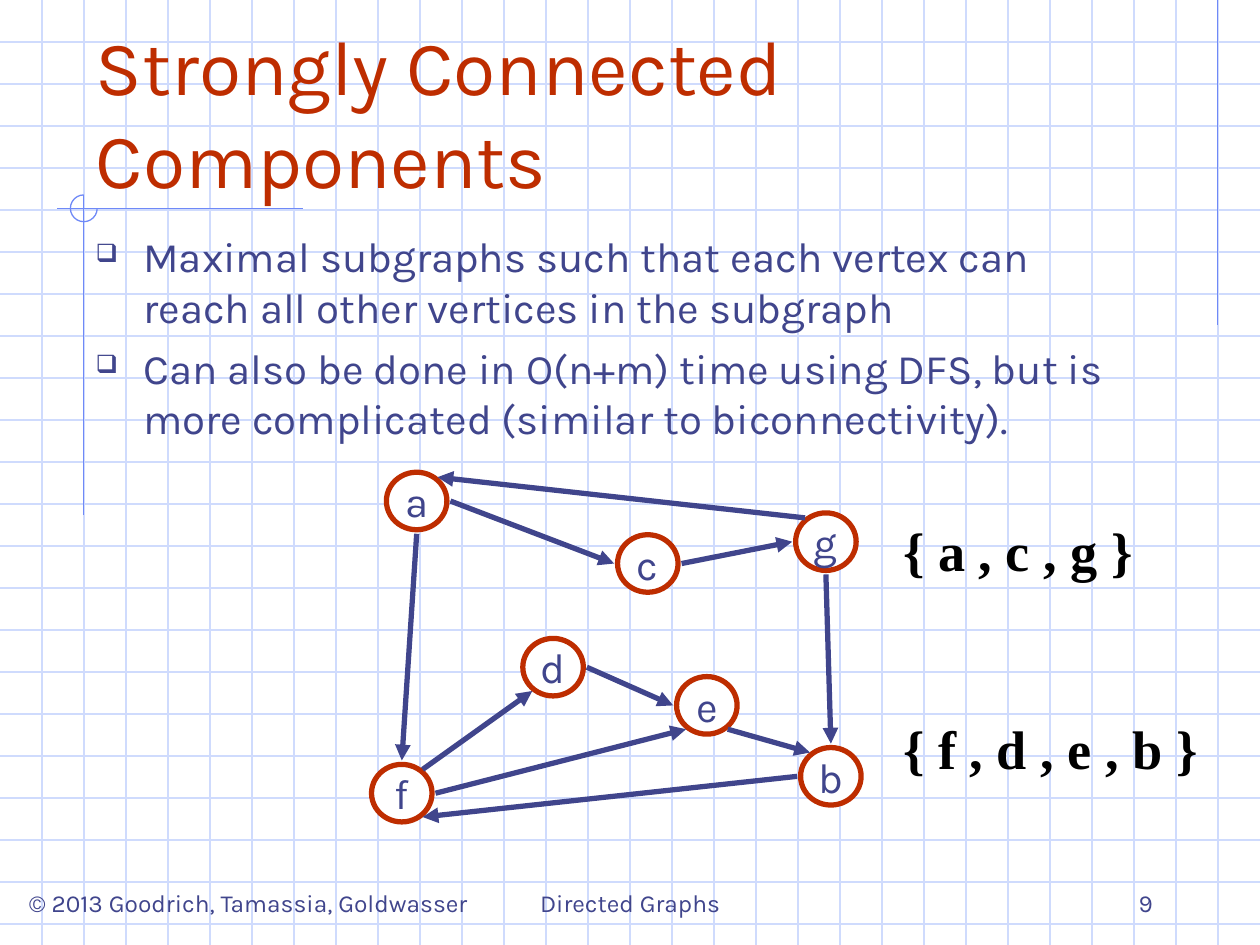
"""Build a slide on strongly connected components of a directed graph."""
import lxml.etree
import pptx
import pptx.dml.color
import pptx.enum.shapes
import pptx.enum.text
import pptx.oxml.ns
import pptx.util

Cm = pptx.util.Cm
Pt = pptx.util.Pt
RGB = pptx.dml.color.RGBColor
ALIGN = pptx.enum.text.PP_ALIGN
ANCHOR = pptx.enum.text.MSO_ANCHOR
SHAPE = pptx.enum.shapes.MSO_SHAPE
qn = pptx.oxml.ns.qn

NAVY = RGB(0x40, 0x45, 0x8C)
RUST = RGB(0xBE, 0x2D, 0x00)
PALE = RGB(0xCF, 0xDB, 0xFD)
BLUE = RGB(0x6F, 0x89, 0xF7)
WHITE = RGB(0xFF, 0xFF, 0xFF)
BLACK = RGB(0x00, 0x00, 0x00)
WIDE, HIGH = 25.4, 19.05


def draw(start, end, color, width=0.75):
    line = slide.shapes.add_connector(
        pptx.enum.shapes.MSO_CONNECTOR.STRAIGHT,
        Cm(start[0]), Cm(start[1]), Cm(end[0]), Cm(end[1]))
    line.line.color.rgb = color
    line.line.width = Pt(width)
    lxml.etree.SubElement(line.element.spPr, qn("a:effectLst"))
    return line


def write(frame, text, size, color, align=ALIGN.LEFT, anchor=ANCHOR.TOP,
          wrap=True, face="Karla", mark=None):
    frame.text = text
    frame.word_wrap = wrap
    frame.auto_size = pptx.enum.text.MSO_AUTO_SIZE.NONE
    frame.vertical_anchor = anchor
    for para in frame.paragraphs:
        para.alignment = align
        if mark:
            props = para._p.get_or_add_pPr()
            props.set("marL", str(Cm(0.96)))
            props.set("indent", str(-Cm(0.96)))
            tint = lxml.etree.SubElement(props, qn("a:buClr"))
            lxml.etree.SubElement(tint, qn("a:srgbClr"), val=str(color))
            lxml.etree.SubElement(props, qn("a:buSzPct"), val="60000")
            lxml.etree.SubElement(props, qn("a:buChar"), char=mark)
        para.font.size = Pt(size)
        para.font.name = face
        para.font.color.rgb = color


deck = pptx.Presentation()
deck.slide_width = Cm(WIDE)
deck.slide_height = Cm(HIGH)
slide = deck.slides.add_slide(deck.slide_layouts[5])

step = WIDE / 30
for row in range(1, 23):
    draw((0, row * step), (WIDE, row * step), PALE)
for col in range(1, 30):
    draw((col * step, 0), (col * step, HIGH), PALE)

draw((24.55, 0), (24.55, 6.55), BLUE)
draw((6.1, 4.21), (1.14, 4.21), BLUE)
draw((1.69, 3.93), (1.69, 10.39), BLUE)
arc = slide.shapes.add_shape(SHAPE.ARC, Cm(1.42), Cm(3.93), Cm(0.54), Cm(0.54))
arc.adjustments[0] = 0
arc.adjustments[1] = 162
arc.fill.background()
arc.line.color.rgb = BLUE
arc.line.width = Pt(0.75)
arc.shadow.inherit = False

title = slide.shapes.title
title.left, title.top, title.width, title.height = Cm(1.68), Cm(0.42), Cm(20.55), Cm(3.81)
write(title.text_frame, "Strongly Connected Components", 44, RUST, anchor=ANCHOR.BOTTOM)
slide.shapes.element.append(title.element)

notes = [
    ("© 2013 Goodrich, Tamassia, Goldwasser", 0.08, 17.78, 9.86, 0.86, ALIGN.CENTER, ANCHOR.TOP),
    ("Directed Graphs", 8.68, 17.35, 8.05, 1.27, ALIGN.CENTER, ANCHOR.BOTTOM),
    ("9", 18.21, 17.35, 5.28, 1.27, ALIGN.RIGHT, ANCHOR.BOTTOM),
]
for text, left, top, width, height, align, anchor in notes:
    box = slide.shapes.add_textbox(Cm(left), Cm(top), Cm(width), Cm(height))
    write(box.text_frame, text, 14, NAVY, align, anchor)

body = slide.shapes.add_textbox(Cm(1.68), Cm(4.53), Cm(21.62), Cm(6.68))
points = [
    "Maximal subgraphs such that each vertex can reach all other vertices in the subgraph",
    "Can also be done in O(n+m) time using DFS, but is more complicated "
    "(similar to biconnectivity).",
]
write(body.text_frame, "\n".join(points), 24, NAVY, mark="❑")
body.text_frame.paragraphs[1].space_before = Pt(6)

for text, top, width in [("{ a , c , g }", 10.42, 4.62), ("{ f , d , e , b }", 14.41, 5.92)]:
    box = slide.shapes.add_textbox(Cm(18.21), Cm(top), Cm(width), Cm(1.32))
    frame = box.text_frame
    frame.margin_left = frame.margin_right = frame.margin_top = frame.margin_bottom = 0
    write(frame, text, 31, BLACK, wrap=False, face="Times New Roman")
    frame.paragraphs[0].font.bold = True

nodes = {
    "a": (8.4, 10.1), "d": (11.15, 13.45), "c": (13.06, 11.36), "b": (16.75, 15.65),
    "e": (14.25, 14.22), "f": (8.1, 15.99), "g": (16.65, 10.92),
}
for name, (x, y) in nodes.items():
    node = slide.shapes.add_shape(
        SHAPE.OVAL, Cm(x - 0.61), Cm(y - 0.58), Cm(1.22), Cm(1.16))
    node.fill.solid()
    node.fill.fore_color.rgb = WHITE
    node.line.color.rgb = RUST
    node.line.width = Pt(3)
    node.shadow.inherit = False
    write(node.text_frame, name, 24, NAVY, ALIGN.CENTER, ANCHOR.MIDDLE, False)

ports = {
    "N": (0, -0.66), "S": (0, 0.66), "E": (0.68, 0), "W": (-0.68, 0),
    "NE": (0.42, -0.48), "NW": (-0.42, -0.48), "SE": (0.42, 0.48), "SW": (-0.42, 0.48),
}
edges = [
    ("a", "S", "f", "N"), ("a", "E", "c", "W"), ("g", "NW", "a", "NE"),
    ("c", "E", "g", "W"), ("g", "S", "b", "N"), ("d", "E", "e", "W"),
    ("e", "SE", "b", "NW"), ("f", "NE", "d", "SW"), ("f", "E", "e", "SW"),
    ("b", "W", "f", "SE"),
]
for tail, out, head, into in edges:
    start = [sum(pair) for pair in zip(nodes[tail], ports[out])]
    end = [sum(pair) for pair in zip(nodes[head], ports[into])]
    edge = draw(start, end, NAVY, 3)
    lxml.etree.SubElement(edge.line._get_or_add_ln(), qn("a:tailEnd"), type="triangle")

deck.save("out.pptx")
